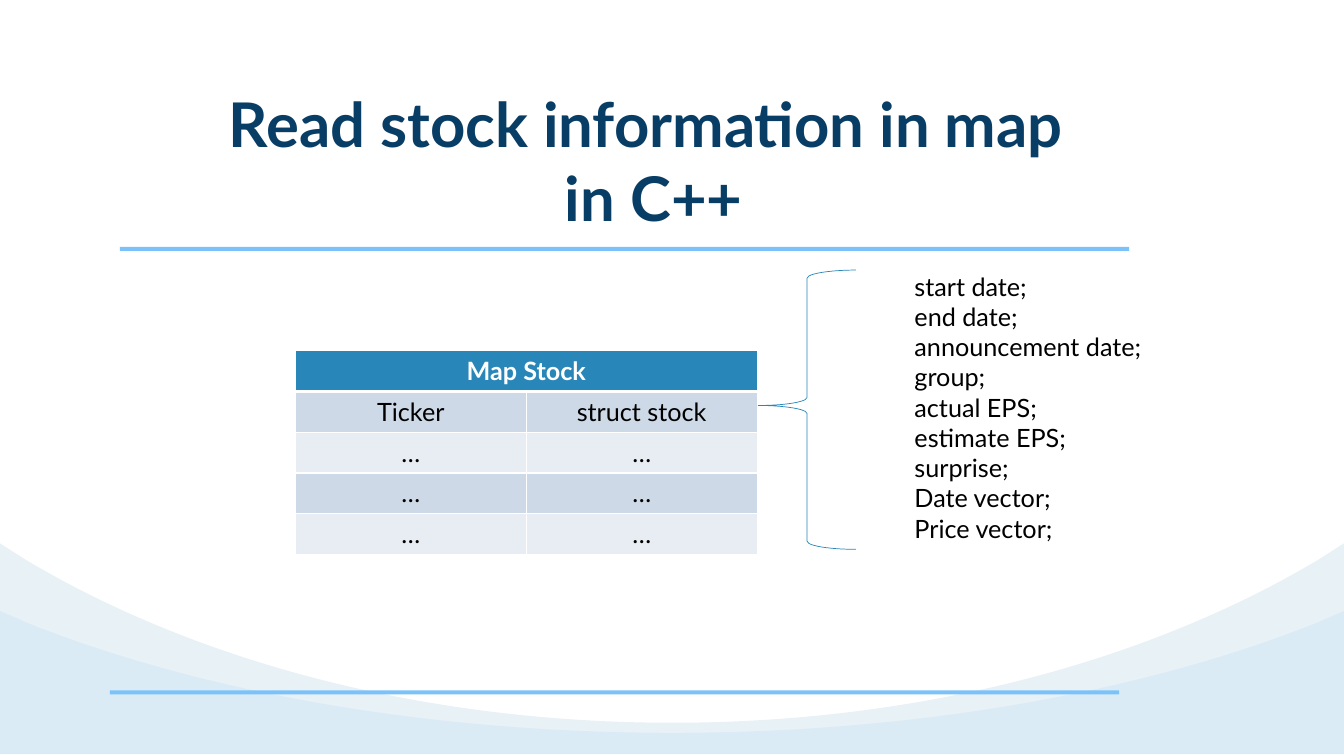
from lxml import etree
from pptx import Presentation
from pptx.dml.color import RGBColor
from pptx.enum.shapes import MSO_SHAPE as SHAPE
from pptx.enum.text import PP_ALIGN as ALIGN
from pptx.oxml.ns import qn
from pptx.util import Emu, Pt

EMU_PER_PX = 9144
FONT = "Lato"
NAVY = RGBColor(0x08, 0x3D, 0x65)
BLUE = RGBColor(0x28, 0x86, 0xB9)
SKY = RGBColor(0x7A, 0xC2, 0xF9)
MIST = RGBColor(0xE8, 0xF1, 0xF6)
BAND_DARK = RGBColor(0xCD, 0xD9, 0xE6)
BAND_LIGHT = RGBColor(0xE8, 0xED, 0xF3)
WHITE = RGBColor(0xFF, 0xFF, 0xFF)
BLACK = RGBColor(0, 0, 0)

TITLE = ["Read stock information in map ", "in C++"]
STOCK_ROWS = [["Ticker", "struct stock"]] + [["…", "…"]] * 3
STOCK_FIELDS = [
    "start date;", "end date;", "announcement date;", "group;", "actual EPS;",
    "estimate EPS;", "surprise;", "Date vector;", "Price vector;",
]


def px(*values):
    return [Emu(v * EMU_PER_PX) for v in values]


def write(tf, lines, size=18, color=BLACK, bold=False, align=ALIGN.LEFT):
    for i, line in enumerate(lines):
        p = tf.add_paragraph() if i else tf.paragraphs[0]
        p.alignment = align
        r = p.add_run()
        r.text = line
        r.font.name = FONT
        r.font.size = Pt(size)
        r.font.bold = bold
        r.font.color.rgb = color


def add_text(shapes, box, lines, insets, **style):
    tf = shapes.add_textbox(*px(*box)).text_frame
    tf.word_wrap = True
    tf.margin_left, tf.margin_top, tf.margin_right, tf.margin_bottom = px(*insets)
    write(tf, lines, **style)


def paint(sp, color, alpha=None):
    sp.shadow.inherit = False
    sp.line.fill.background()
    sp.fill.solid()
    sp.fill.fore_color.rgb = color
    if alpha is not None:
        clr = sp._element.spPr.find(qn("a:solidFill"))[0]
        etree.SubElement(clr, qn("a:alpha")).set("val", str(alpha * 1000))


def bend(sp, first, count):
    lines = list(sp._element.iter(qn("a:lnTo")))[first:first + 3 * count]
    for i in range(0, len(lines), 3):
        curve = etree.Element(qn("a:cubicBezTo"))
        lines[i].addprevious(curve)
        for line in lines[i:i + 3]:
            curve.append(line[0])
            line.getparent().remove(line)


def add_wave(shapes, edge, shoulder, control, trough, color, alpha=None):
    left = [(0, edge), (25, shoulder), (194, control), (420, trough)]
    right = [(1333 - x, y) for x, y in reversed(left)]
    outline = left + [(667, trough)] + right + [(1333, 748), (0, 748)]
    points = [px(*point) for point in outline]
    fb = shapes.build_freeform(*points[0])
    fb.add_line_segments(points[1:], close=True)
    sp = fb.convert_to_shape()
    bend(sp, 1, 2)
    paint(sp, color, alpha)


def add_rule(shapes, x, y):
    paint(shapes.add_shape(SHAPE.RECTANGLE, *px(x, y, 1001, 4)), SKY)


def set_border(cell, side, width):
    ln = etree.Element(qn("a:ln" + side), w=str(Pt(width)))
    fill = etree.SubElement(ln, qn("a:solidFill"))
    etree.SubElement(fill, qn("a:srgbClr"), val=str(WHITE))
    tcPr = cell._tc.get_or_add_tcPr()
    tcPr.insert(len(tcPr.findall("*")) - 1, ln)


def fill_cell(cell, text, fill, top=1, bottom=1, **style):
    cell.fill.solid()
    cell.fill.fore_color.rgb = fill
    for side, width in (("L", 1), ("R", 1), ("T", top), ("B", bottom)):
        set_border(cell, side, width)
    write(cell.text_frame, [text], align=ALIGN.CENTER, **style)


def add_stock_table(shapes):
    count = len(STOCK_ROWS) + 1
    table = shapes.add_table(count, 2, *px(293, 348, 458, 202)).table
    header = table.cell(0, 0)
    header.merge(table.cell(0, 1))
    fill_cell(header, "Map Stock", BLUE, bottom=3, color=WHITE, bold=True)
    for i, row in enumerate(STOCK_ROWS):
        for j, text in enumerate(row):
            fill_cell(table.cell(i + 1, j), text, (BAND_DARK, BAND_LIGHT)[i % 2],
                      top=1 if i else 3)


def add_brace(shapes):
    sp = shapes.add_shape(SHAPE.LEFT_BRACE, *px(752, 268, 97, 277))
    sp.adjustments[0] = 0.083
    sp.adjustments[1] = 0.485
    sp.shadow.inherit = False
    sp.fill.background()
    sp.line.color.rgb = BLUE
    sp.line.width = Pt(0.5)


def main():
    prs = Presentation()
    prs.slide_width, prs.slide_height = px(1333, 750)
    s = prs.slides.add_slide(prs.slide_layouts[6])
    add_text(s.shapes, (146, 85, 1005, 148), TITLE, (0, 0, 0, 0),
             size=44, color=NAVY, bold=True, align=ALIGN.CENTER)
    waves = s.shapes.add_group_shape().shapes
    add_wave(waves, 539, 555, 656, 717, MIST)
    add_wave(waves, 606, 617, 685, 727, SKY, alpha=11)
    rules = s.shapes.add_group_shape().shapes
    add_rule(rules, 109, 685)
    add_rule(rules, 119, 245)
    add_stock_table(s.shapes)
    struct = s.shapes.add_group_shape().shapes
    add_brace(struct)
    add_text(struct, (791, 264, 488, 283), STOCK_FIELDS, (116, 5, 10, 5))
    prs.save("out.pptx")


if __name__ == "__main__":
    main()
